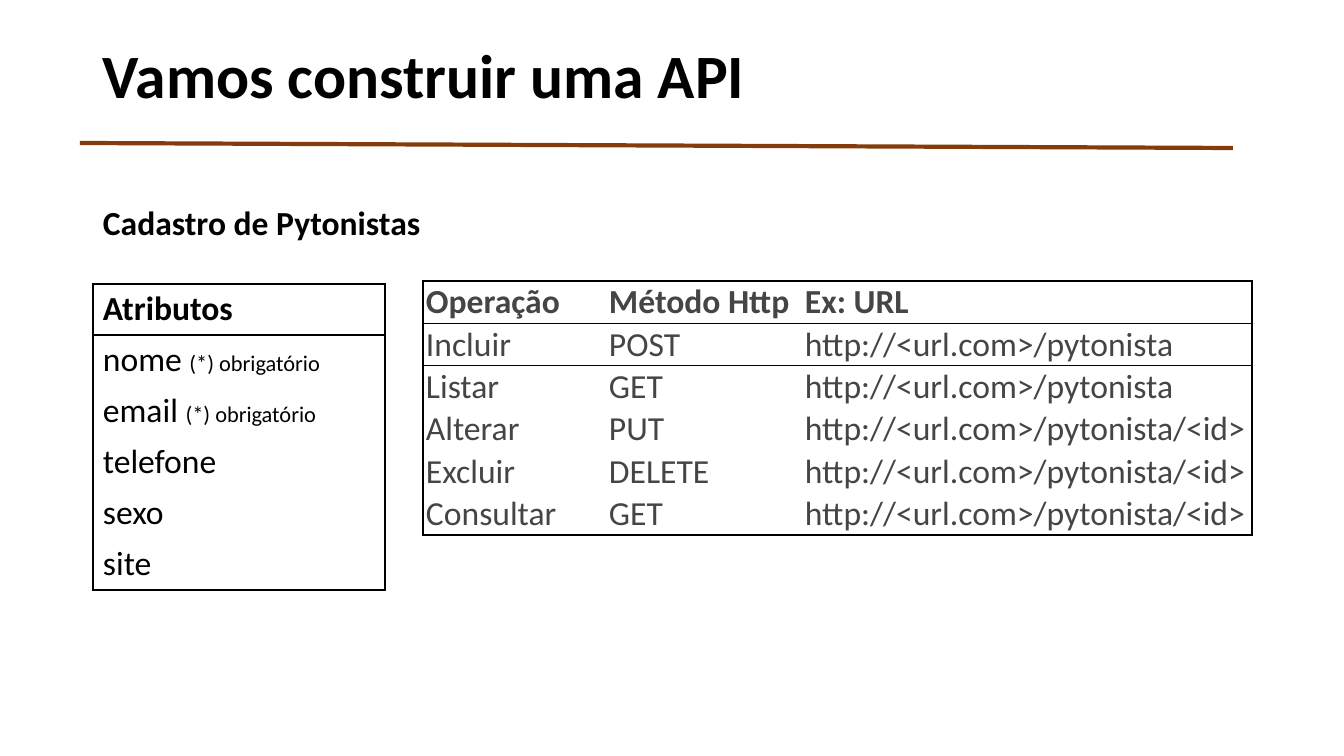
from lxml import etree
from pptx import Presentation, util as u
from pptx.dml.color import RGBColor
from pptx.enum import shapes, text
from pptx.oxml import ns

PX = 914400 / 100.8
BLACK = RGBColor(0x00, 0x00, 0x00)
GRAY = RGBColor(0x45, 0x45, 0x45)
BROWN = RGBColor(0x84, 0x3C, 0x0B)
NO_STYLE = "{2D5ABB26-0587-4C30-8999-92F81FD0307C}"


def add_run(para, words, size, color, bold=False):
    span = para.add_run()
    span.text = words
    span.font.name = "Calibri"
    span.font.size = u.Pt(size)
    span.font.bold = bold
    span.font.color.rgb = color


def add_grid(left, top, widths, row_height, rows, insets, color, ruled):
    """Add a framed table with a rule below each row listed in ruled."""
    frame = page.shapes.add_table(
        len(rows), len(widths), round(left * PX), round(top * PX),
        round(sum(widths) * PX), round(row_height * len(rows) * PX))
    grid = frame.table
    grid.first_row = grid.horz_banding = False
    grid._tbl.tblPr.find(ns.qn("a:tableStyleId")).text = NO_STYLE
    for column, width in zip(grid.columns, widths):
        column.width = round(width * PX)
    last_row, last_col = len(rows) - 1, len(widths) - 1
    for r, row in enumerate(rows):
        grid.rows[r].height = round(row_height * PX)
        for c, runs in enumerate(row):
            cell = grid.cell(r, c)
            cell.fill.background()
            cell.margin_left = cell.margin_right = round(insets[0] * PX)
            cell.margin_top = cell.margin_bottom = round(insets[1] * PX)
            for words, size in runs:
                add_run(cell.text_frame.paragraphs[0], words, size, color, r == 0)
            # Cell borders
            edges = {"L": c == 0, "R": c == last_col,
                     "T": r == 0 or r - 1 in ruled,
                     "B": r == last_row or r in ruled}
            props = cell._tc.get_or_add_tcPr()
            for place, (side, drawn) in enumerate(edges.items()):
                border = etree.Element(ns.qn("a:ln" + side), w=str(u.Pt(1)))
                if drawn:
                    fill = etree.SubElement(border, ns.qn("a:solidFill"))
                    etree.SubElement(fill, ns.qn("a:srgbClr"), val=str(BLACK))
                else:
                    etree.SubElement(border, ns.qn("a:noFill"))
                props.insert(place, border)


deck = Presentation()
deck.slide_width, deck.slide_height = round(1344 * PX), round(756 * PX)
page = deck.slides.add_slide(deck.slide_layouts[6])

# Title and subtitle
for words, size, left, top, width, height in [
        ("Vamos construir uma API", 44, 93, 40, 1159, 146),
        ("Cadastro de Pytonistas", 24, 93, 202, 403, 60)]:
    box = page.shapes.add_textbox(*(round(n * PX) for n in (left, top, width, height)))
    box.text_frame.word_wrap = True
    box.text_frame.vertical_anchor = text.MSO_ANCHOR.TOP
    para = box.text_frame.paragraphs[0]
    para.line_spacing = 0.9
    add_run(para, words, size, BLACK, True)

# Attributes
required = ("(*) obrigatório", 16)
attributes = [[("Atributos", 24)],
              [("nome ", 24), required],
              [("email ", 24), required],
              [("telefone", 24)],
              [("sexo", 24)],
              [("site", 24)]]
add_grid(93, 284, [292], 51, [[runs] for runs in attributes], (10, 5), BLACK, {0})

# Operations
url = "http://<url.com>/pytonista"
operations = [("Operação", "Método Http", "Ex: URL"),
              ("Incluir", "POST", url),
              ("Listar", "GET", url),
              ("Alterar", "PUT", url + "/<id>"),
              ("Excluir", "DELETE", url + "/<id>"),
              ("Consultar", "GET", url + "/<id>")]
add_grid(423, 281, [183, 196, 450], 42,
         [[[(words, 24)] for words in row] for row in operations],
         (3, 1), GRAY, {0, 1})

# Rule below the title
rule = page.shapes.add_connector(
    shapes.MSO_CONNECTOR.STRAIGHT, *(round(n * PX) for n in (80, 143, 1233, 148)))
rule.line.color.rgb = BROWN
rule.line.width = u.Pt(3)
etree.SubElement(rule._element.spPr, ns.qn("a:effectLst"))

deck.save("out.pptx")
